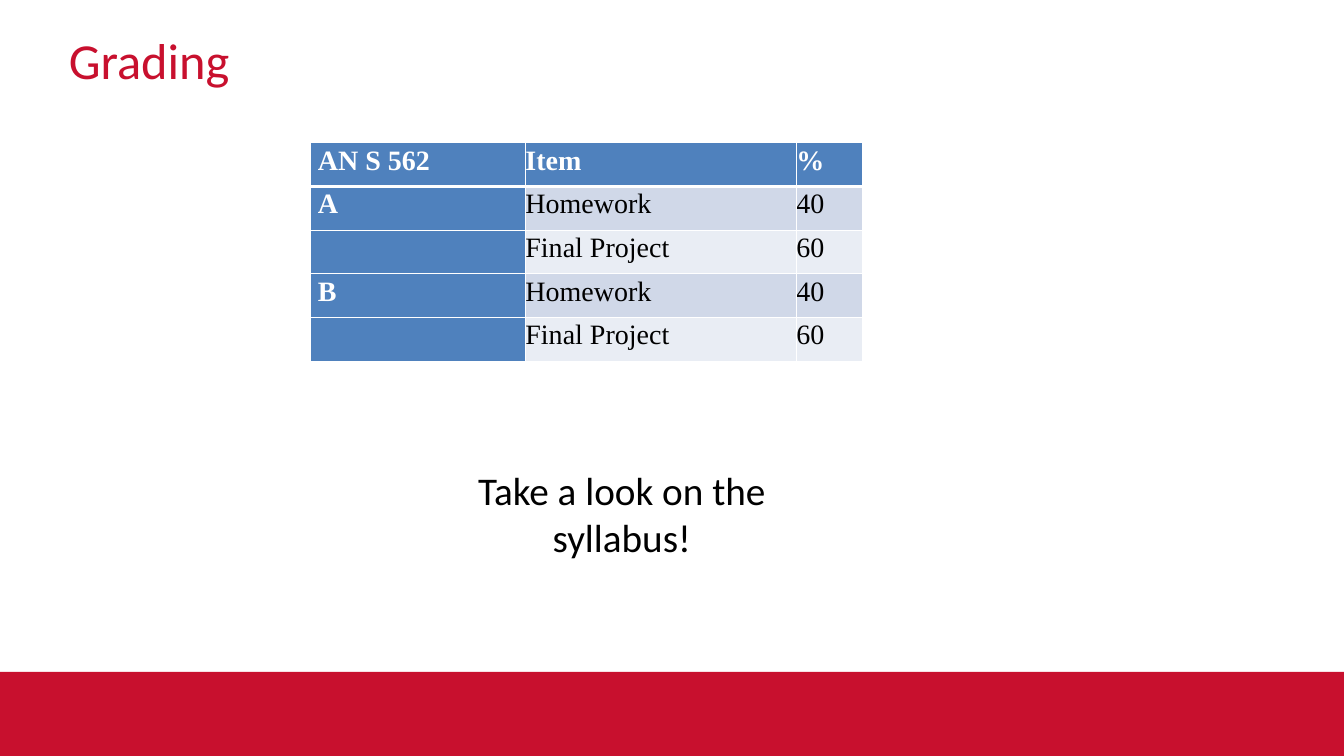
from lxml import etree
from pptx import Presentation
from pptx import util as u
from pptx.dml.color import RGBColor
from pptx.enum import shapes, text
from pptx.oxml.ns import qn

COLORS = {
    "red": "C8102E", "white": "FFFFFF", "black": "000000",
    "blue": "4F81BD", "dark band": "D0D8E8", "light band": "E9EDF4",
}


def write_text(frame, content, size, font="Calibri", color="black", bold=False,
               align=text.PP_ALIGN.LEFT, spacing=None):
    paragraph = frame.paragraphs[0]
    paragraph.alignment = align
    paragraph.line_spacing = spacing
    run = paragraph.add_run()
    run.text = content
    run.font.size = u.Pt(size)
    run.font.name = font
    run.font.bold = bold
    run.font.color.rgb = RGBColor.from_string(COLORS[color])


def add_borders(cell, widths):
    """Draw white borders, widths in points: left, right, top, bottom."""
    properties = cell._tc.get_or_add_tcPr()
    for index, (side, width) in enumerate(zip("LRTB", widths)):
        line = etree.Element(qn(f"a:ln{side}"), w=str(u.Pt(width)))
        fill = etree.SubElement(line, qn("a:solidFill"))
        etree.SubElement(fill, qn("a:srgbClr"), val=COLORS["white"])
        properties.insert(index, line)


presentation = Presentation()
presentation.slide_width = u.Cm(33.87)
presentation.slide_height = u.Cm(19.05)
slide = presentation.slides.add_slide(presentation.slide_layouts[5])

# Footer band
footer = slide.shapes.add_shape(
    shapes.MSO_SHAPE.RECTANGLE, 0, u.Cm(16.93), presentation.slide_width, u.Cm(2.12))
footer.shadow.inherit = False
footer.fill.solid()
footer.fill.fore_color.rgb = RGBColor.from_string(COLORS["red"])
footer.line.fill.background()

# Title
title = slide.shapes.title
title.left, title.top = u.Cm(1.48), u.Cm(0.33)
title.width, title.height = u.Cm(29.85), u.Cm(2.34)
title.text_frame.vertical_anchor = text.MSO_ANCHOR.MIDDLE
write_text(title.text_frame, "Grading", 36, color="red")

# Grading table
grading = [
    ("AN S 562", "Item", "%"),
    ("A", "Homework", "40"),
    ("", "Final Project", "60"),
    ("B", "Homework", "40"),
    ("", "Final Project", "60"),
]
column_widths = [5.41, 6.83, 1.68]
row_height = 1.1
table = slide.shapes.add_table(
    len(grading), len(column_widths), u.Cm(7.83), u.Cm(3.6),
    u.Cm(sum(column_widths)), u.Cm(row_height * len(grading))).table
for column, width in zip(table.columns, column_widths):
    column.width = u.Cm(width)

for row, items in enumerate(grading):
    table.rows[row].height = u.Cm(row_height)
    for column, item in enumerate(items):
        cell = table.cell(row, column)
        heading = row == 0 or column == 0
        band = "dark band" if row % 2 else "light band"
        cell.fill.solid()
        cell.fill.fore_color.rgb = RGBColor.from_string(
            COLORS["blue" if heading else band])
        cell.margin_left = u.Cm(0.18 if column == 0 else 0)
        cell.margin_right = u.Cm(0.2)
        cell.margin_top = cell.margin_bottom = 0
        add_borders(cell, (1, 1, 3 if row == 1 else 1, 3 if row == 0 else 1))
        if item:
            write_text(cell.text_frame, item, 20, "Times New Roman",
                       "white" if heading else "black", heading, spacing=1.07)

# Closing note
note = slide.shapes.add_textbox(u.Cm(10.17), u.Cm(11.63), u.Cm(11), u.Cm(1.45))
note.text_frame.word_wrap = True
write_text(note.text_frame, "Take a look on the syllabus!", 28,
           align=text.PP_ALIGN.CENTER)

presentation.save("out.pptx")
